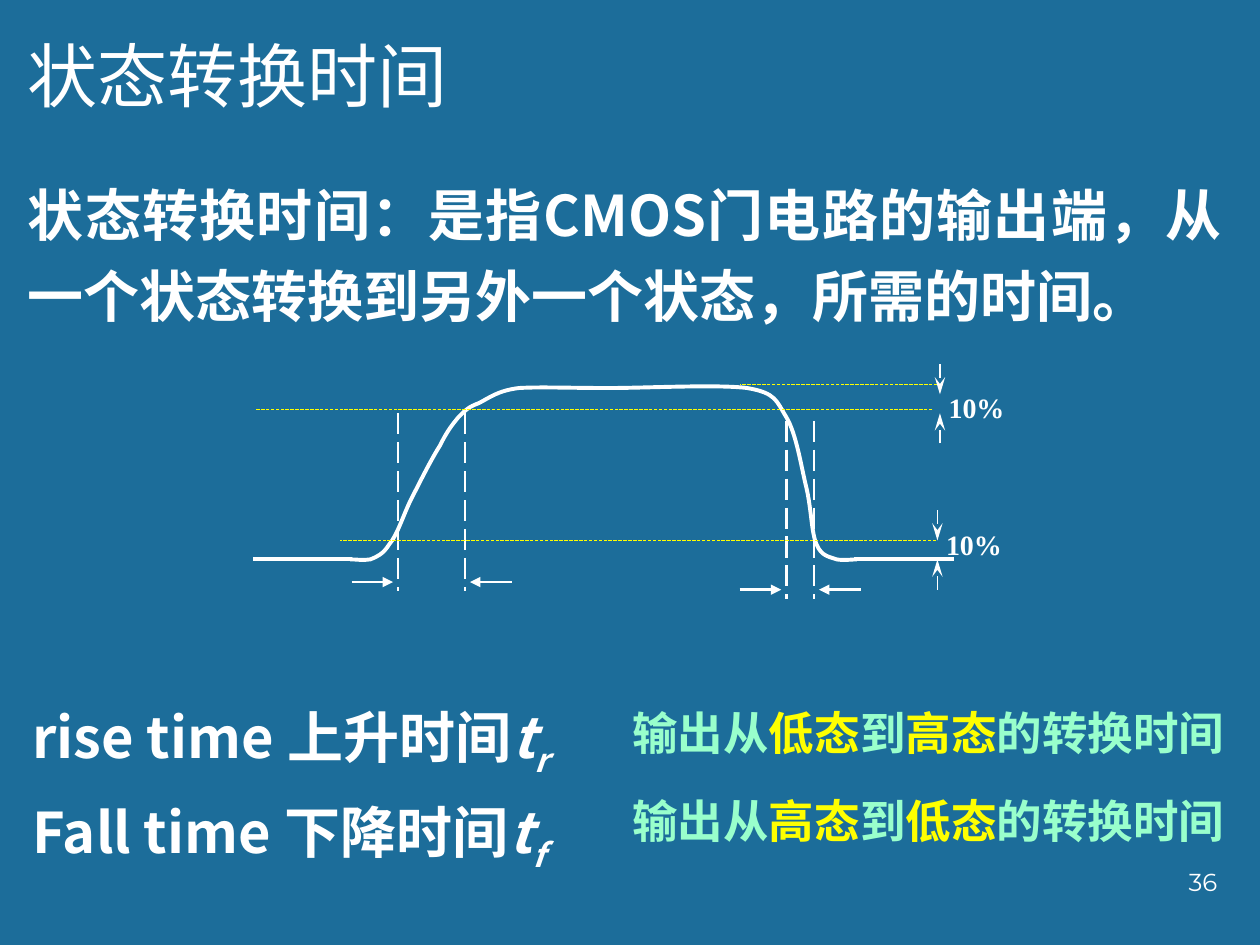
from dataclasses import dataclass
from itertools import chain

from lxml import etree
from pptx import Presentation
from pptx.dml.color import RGBColor
from pptx.enum.dml import MSO_LINE
from pptx.enum.shapes import MSO_CONNECTOR
from pptx.enum.text import MSO_ANCHOR, MSO_AUTO_SIZE, PP_ALIGN
from pptx.oxml.ns import qn
from pptx.util import Inches, Pt

STRAIGHT = MSO_CONNECTOR.STRAIGHT
LONG_DASH = MSO_LINE.LONG_DASH
TOP = MSO_ANCHOR.TOP
NO_FIT = MSO_AUTO_SIZE.NONE
LEFT, RIGHT, JUSTIFY = PP_ALIGN.LEFT, PP_ALIGN.RIGHT, PP_ALIGN.JUSTIFY
COLUMNS, ROWS = 100, 75


@dataclass(frozen=True)
class Theme:
    """Colours, fonts and sizes of the slide."""
    background: str = "1C6D9A"
    text: str = "FFFFFF"
    accent: str = "FFFF00"
    note: str = "99FFCC"
    chinese: str = "Noto Sans CJK SC"
    symbol: str = "Noto Sans CJK JP"
    label: str = "Times New Roman"
    number: str = "Montserrat"
    title_size: float = 40
    body_size: float = 32
    note_size: float = 26
    label_size: float = 16
    number_size: float = 14
    curve: float = 2.25
    marker: float = 1.5
    arrow: float = 1
    level: float = 0.25


THEME = Theme()
CURVE_START = (27.8, 44.4)
CURVE_PARTS = [
    ((28.3, 44.4), (28.8, 44.5), (29.4, 44.4)),
    ((29.9, 44.2), (30.4, 44), (30.9, 43.2)),
    ((31.5, 42.5), (31.9, 41.2), (32.5, 39.9)),
    ((33.2, 38.5), (34.2, 36.5), (34.9, 35.4)),
    ((35.5, 34.2), (35.9, 33.7), (36.4, 33.1)),
    ((37, 32.5), (37.2, 32.3), (38, 32)),
    ((38.8, 31.6), (39.5, 31), (41.2, 30.8)),
    ((42.9, 30.7), (45.2, 30.8), (48.3, 30.8)),
    ((51.3, 30.8), (56.9, 30.5), (59.3, 30.8)),
    ((61.6, 31.2), (61.6, 31.8), (62.4, 33.1)),
    ((63.2, 34.4), (63.6, 37.1), (64, 38.7)),
    ((64.4, 40.4), (64.4, 42.3), (64.8, 43.2)),
    ((65.2, 44.2), (65.9, 44.2), (66.4, 44.4)),
    ((66.9, 44.5), (67.7, 44.4), (68, 44.4)),
]


def grid(*cells):
    """Turn grid cells, a hundred to the slide's width, into lengths."""
    return [Inches(cell * 10 / COLUMNS) for cell in cells]


def style_run(span, size, color, font, bold=False, italic=False):
    """Format one run, with the same font for Latin and Chinese."""
    span.font.size = Pt(size)
    span.font.bold = bold
    span.font.italic = italic
    span.font.color.rgb = RGBColor.from_string(color)
    span.font.name = font
    east_asian = etree.SubElement(span._r.get_or_add_rPr(), qn("a:ea"))
    east_asian.set("typeface", font)


def prepare_frame(box, wrap=True):
    """Set wrapping and anchoring of a box and return its text frame."""
    frame = box.text_frame
    frame.word_wrap = wrap
    frame.auto_size = NO_FIT
    frame.vertical_anchor = TOP
    return frame


def space_para(para, align, line=None, before=0):
    """Set the alignment and spacing of a paragraph."""
    para.alignment = align
    para.space_before = Pt(before)
    if line:
        para.line_spacing = Pt(line)


def fill_placeholder(box, cells, text, size, line, bold):
    """Move a placeholder and give it unbulleted, justified text."""
    box.left, box.top, box.width, box.height = grid(*cells)
    frame = prepare_frame(box)
    frame.text = text
    para = frame.paragraphs[0]
    space_para(para, JUSTIFY, line)
    properties = para._p.get_or_add_pPr()
    properties.set("marL", "0")
    properties.set("indent", "0")
    etree.SubElement(properties, qn("a:buNone"))
    style_run(para.runs[0], size, THEME.text, THEME.chinese, bold)


def add_label(slide, cells, text, size, font, align=LEFT, bold=False):
    """Add a short one-line label."""
    frame = prepare_frame(slide.shapes.add_textbox(*grid(*cells)), wrap=False)
    frame.text = text
    space_para(frame.paragraphs[0], align)
    style_run(frame.paragraphs[0].runs[0], size, THEME.text, font, bold)


def add_terms(slide, cells, terms):
    """Add the named times, each followed by its symbol and subscript."""
    frame = prepare_frame(slide.shapes.add_textbox(*grid(*cells)))
    for index, (name, subscript) in enumerate(terms):
        para = frame.add_paragraph() if index else frame.paragraphs[0]
        space_para(para, LEFT, 48, 6.3 if index else 0)
        for text in (name, "t", subscript):
            span = para.add_run()
            span.text = text
            is_name = text is name
            font = THEME.chinese if is_name else THEME.symbol
            style_run(span, THEME.body_size, THEME.text, font, True, not is_name)
        span._r.get_or_add_rPr().set("baseline", "-25000")


def add_note(slide, top, before, after):
    """Add a note on a transition with both states highlighted."""
    frame = prepare_frame(slide.shapes.add_textbox(*grid(49.2, top, 49.7, 5.4)))
    para = frame.paragraphs[0]
    space_para(para, LEFT, 31)
    for text in ("输出从", before, "到", after, "的转换时间"):
        span = para.add_run()
        span.text = text
        color = THEME.accent if text in (before, after) else THEME.note
        style_run(span, THEME.note_size, color, THEME.chinese, True)


def add_line(slide, cells, width, color=THEME.text, dash=None, head=None, length="med"):
    """Add a straight line, dashed or with an arrowhead if asked."""
    connector = slide.shapes.add_connector(STRAIGHT, *grid(*cells))
    connector.line.width = Pt(width)
    connector.line.color.rgb = RGBColor.from_string(color)
    if dash:
        connector.line.dash_style = dash
    if head:
        tail = etree.SubElement(connector.line._get_or_add_ln(), qn("a:tailEnd"))
        tail.set("type", head)
        tail.set("len", length)
    etree.SubElement(connector._element.spPr, qn("a:effectLst"))


def add_interval(slide, left, right, top, arrow_row):
    """Mark a time interval with two dashed lines and inward arrows."""
    for column, side in ((left, -1), (right, 1)):
        add_line(slide, (column, top, column, top + 14.1), THEME.marker, dash=LONG_DASH)
        add_line(slide, (column + side * 3.7, arrow_row, column + side * 0.4, arrow_row),
                 THEME.marker, head="triangle")


def add_margin(slide, column, upper, label_top):
    """Mark a ten percent margin with two vertical arrows and a label."""
    add_label(slide, (column - 0.3, label_top, 6.5, 3.7), "10%",
              THEME.label_size, THEME.label, bold=True)
    for row, side in ((upper, -1), (upper + 1.5, 1)):
        add_line(slide, (column, row + side * 2.4, column, row), THEME.arrow,
                 head="stealth", length="lg")


def bend_segments(shape):
    """Turn each three straight segments of an outline into one cubic curve."""
    segments = list(shape._element.iter(qn("a:lnTo")))
    for first, second, third in zip(*[iter(segments)] * 3):
        first.tag = qn("a:cubicBezTo")
        for segment in (second, third):
            first.append(segment[0])
            segment.getparent().remove(segment)


def add_pulse(slide):
    """Draw the output pulse with its low-level leads."""
    for left, right in ((67.8, 75.7), (20.1, 27.9)):
        add_line(slide, (left, 44.4, right, 44.4), THEME.curve)
    builder = slide.shapes.build_freeform(*grid(*CURVE_START))
    points = [grid(*point) for point in chain.from_iterable(CURVE_PARTS)]
    builder.add_line_segments(points, close=False)
    pulse = builder.convert_to_shape()
    bend_segments(pulse)
    pulse.shadow.inherit = False
    pulse.fill.background()
    pulse.line.width = Pt(THEME.curve)
    pulse.line.color.rgb = RGBColor.from_string(THEME.text)


def main():
    """Build and save the slide."""
    deck = Presentation()
    deck.slide_width, deck.slide_height = grid(COLUMNS, ROWS)
    slide = deck.slides.add_slide(deck.slide_layouts[1])
    slide.background.fill.solid()
    slide.background.fill.fore_color.rgb = RGBColor.from_string(THEME.background)
    fill_placeholder(slide.shapes.title, (1.2, 2.1, 67.7, 7.7), "状态转换时间",
                     THEME.title_size, 48, False)
    fill_placeholder(slide.placeholders[1], (1.2, 12.8, 96.8, 13.9),
                     "状态转换时间：是指CMOS门电路的输出端，从一个状态转换到另外一个状态，所需的时间。",
                     THEME.body_size, 46, True)
    add_interval(slide, 31.6, 36.9, 32.8, 46.2)
    add_interval(slide, 62.4, 64.6, 33.4, 46.8)
    add_pulse(slide)
    for left, right, row in ((27, 74.3, 42.9), (20.3, 74, 32.5), (58.7, 74.4, 30.5)):
        add_line(slide, (right, row, left, row), THEME.level, THEME.accent, LONG_DASH)
    add_margin(slide, 74.4, 42.9, 41.4)
    add_margin(slide, 74.6, 31.3, 30.5)
    add_terms(slide, (1.6, 54.7, 52.7, 13.9),
              (("rise time 上升时间", "r"), ("Fall time 下降时间", "f")))
    add_label(slide, (76.8, 68.3, 20.8, 5), "36", THEME.number_size, THEME.number, RIGHT)
    add_note(slide, 55.5, "低态", "高态")
    add_note(slide, 62.5, "高态", "低态")
    deck.save("out.pptx")


if __name__ == "__main__":
    main()
